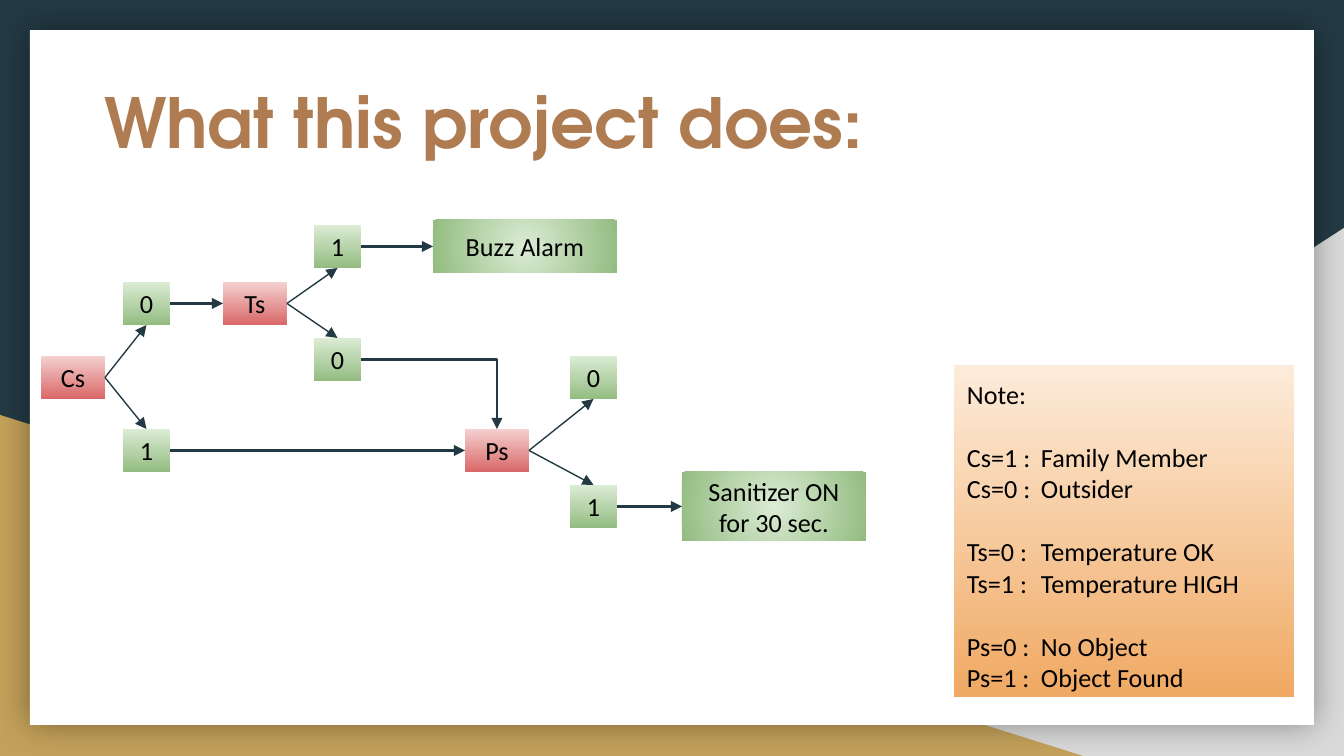
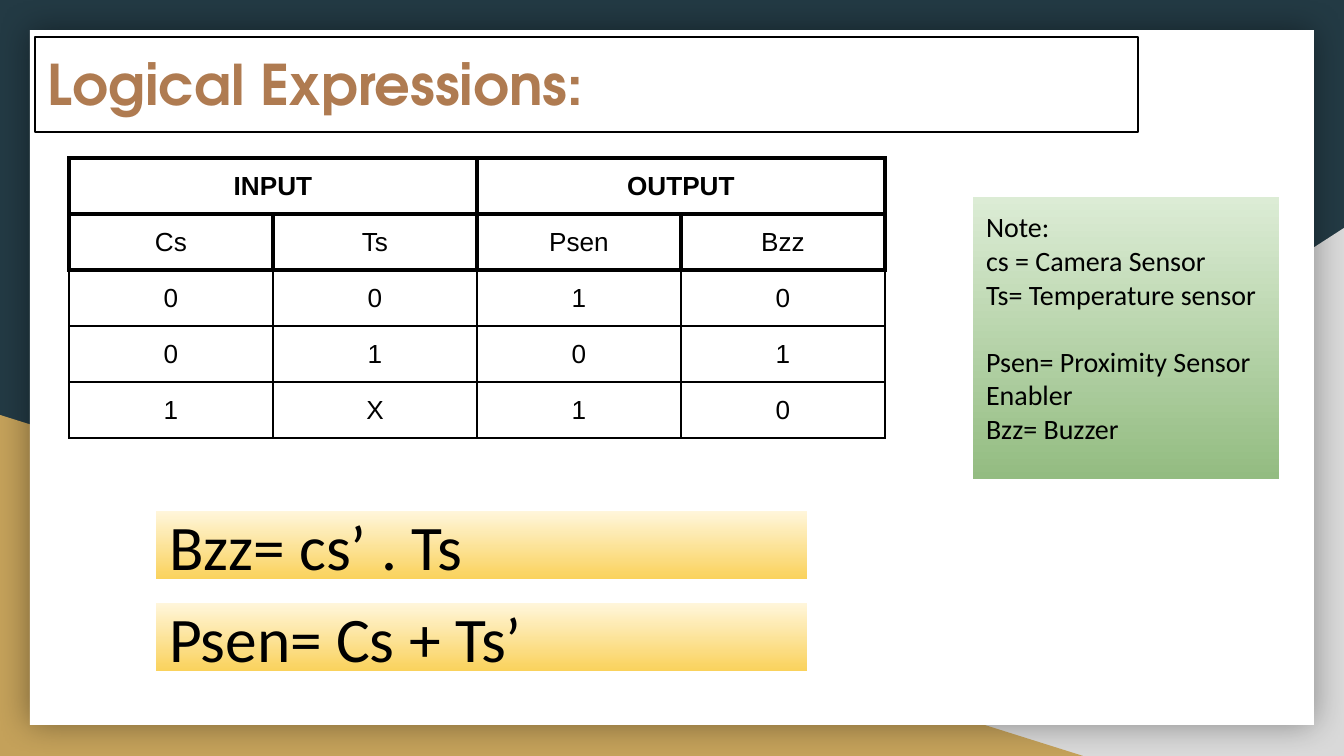
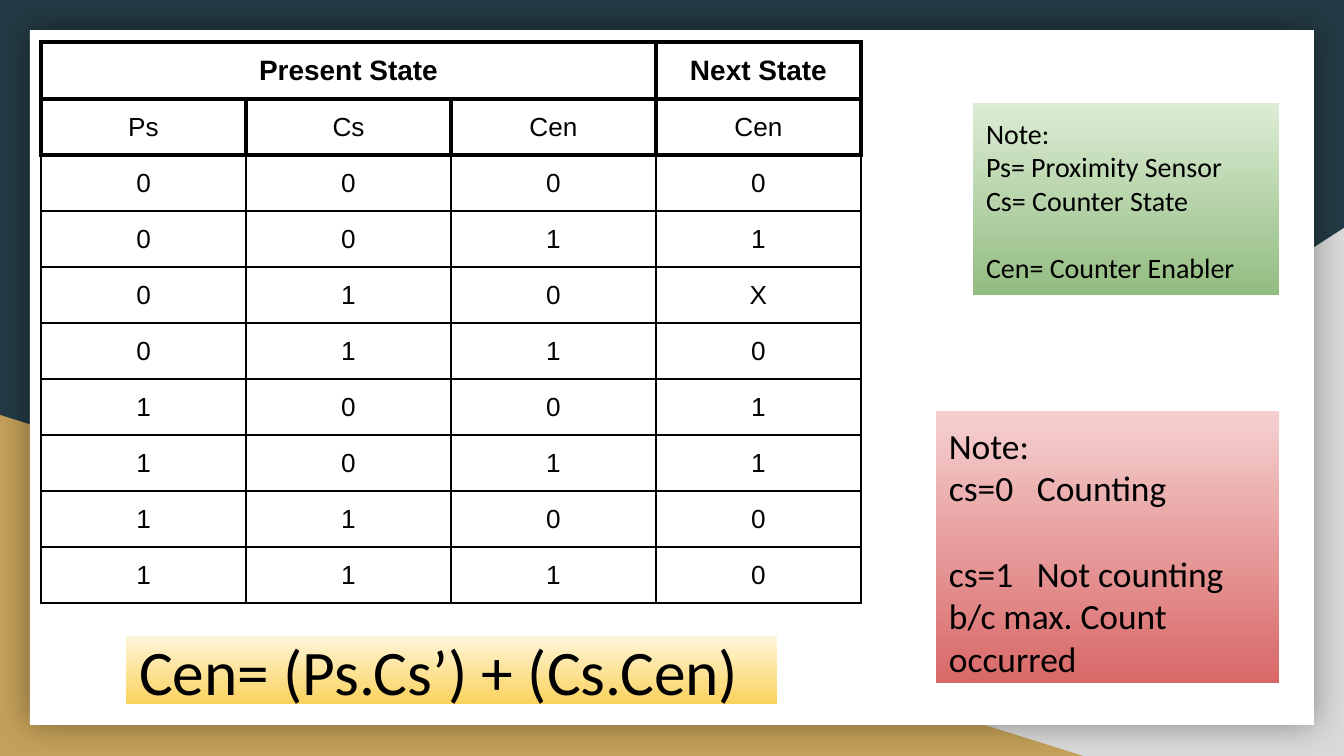
from dataclasses import dataclass

from pptx import Presentation
from pptx import oxml
from pptx import util as u
from pptx.dml.color import RGBColor
from pptx.enum import shapes, text
from pptx.oxml import ns

WIDE, HIGH = 1344, 756
PAD = 13
ROW = 56

NAVY = RGBColor(0x23, 0x3A, 0x44)
GREY = RGBColor(0xD9, 0xD9, 0xD9)
GOLD = RGBColor(0xC4, 0xA1, 0x5A)
WHITE = RGBColor(0xFF, 0xFF, 0xFF)
BLACK = RGBColor(0x00, 0x00, 0x00)
BROWN = RGBColor(0xAF, 0x7B, 0x51)

RED = (RGBColor(0xF5, 0xD0, 0xD0), RGBColor(0xD9, 0x68, 0x68))
GREEN = (RGBColor(0xDC, 0xEC, 0xD5), RGBColor(0x93, 0xBC, 0x81))
PEACH = (RGBColor(0xFD, 0xEC, 0xDB), RGBColor(0xF0, 0xA9, 0x63))
LEMON = (RGBColor(0xFF, 0xF6, 0xDB), RGBColor(0xFA, 0xD2, 0x5C))

HEAD_FONT = "TeX Gyre Adventor"
BODY_FONT = "Calibri"
GRID_FONT = "Arial"

LEFT, CENTER = text.PP_ALIGN.LEFT, text.PP_ALIGN.CENTER
TOP, MIDDLE = text.MSO_ANCHOR.TOP, text.MSO_ANCHOR.MIDDLE
RECT = shapes.MSO_SHAPE.RECTANGLE
WEDGE = shapes.MSO_SHAPE.RIGHT_TRIANGLE
N, W, S, E = range(4)

THIN, FIRM, BOLD = 0.75, 1.5, 2.25


@dataclass
class Box:
    x: int
    y: int
    w: int
    h: int


@dataclass
class Node:
    key: str
    label: str
    box: Box
    tint: tuple
    round: bool = False


@dataclass
class Link:
    start: str
    out: int
    end: str
    into: int
    width: float = FIRM
    bent: bool = False


@dataclass
class Note:
    box: Box
    tint: tuple
    size: int
    groups: tuple
    tab: int = 0


@dataclass
class Grid:
    x: int
    y: int
    col: int
    spans: tuple
    size: int
    rows: tuple


def px(n: int) -> u.Emu:
    return u.Emu(n * 9144000 // WIDE)


def place(box: Box) -> tuple:
    return px(box.x), px(box.y), px(box.w), px(box.h)


def make(tag: str):
    name, rest = tag.split(" ", 1)
    return oxml.parse_xml(f"{name} {ns.nsdecls('a')} {rest}")


def style(para, size: int, name: str, color=BLACK, bold=False, align=LEFT) -> None:
    para.alignment = align
    font = para.font
    font.name, font.size, font.bold = name, u.Pt(size), bold
    font.color.rgb = color


def pad(frame, anchor) -> None:
    frame.margin_left = frame.margin_right = px(PAD)
    frame.margin_top = frame.margin_bottom = px(PAD)
    frame.vertical_anchor = anchor
    frame.word_wrap = True


def plain(slide, kind, box: Box, color=None):
    shape = slide.shapes.add_shape(kind, *place(box))
    shape.shadow.inherit = False
    shape.line.fill.background()
    if color is not None:
        shape.fill.solid()
        shape.fill.fore_color.rgb = color
    return shape


def blend(slide, box: Box, tint: tuple, round: bool = False):
    shape = plain(slide, RECT, box)
    shape.fill.gradient()
    shape.fill.gradient_angle = 270
    for stop, color in zip(shape.fill.gradient_stops, tint):
        stop.color.rgb = color
    if round:
        grad = shape.element.spPr.find(ns.qn("a:gradFill"))
        grad.replace(grad.find(ns.qn("a:lin")), make(
            '<a:path path="circle"><a:fillToRect l="50000" t="50000" '
            'r="50000" b="50000"/></a:path>'))
    return shape


def label(slide, box: Box, tint: tuple, words: str, size: int, align, round=False):
    shape = blend(slide, box, tint, round)
    pad(shape.text_frame, MIDDLE)
    para = shape.text_frame.paragraphs[0]
    para.text = words
    style(para, size, BODY_FONT, align=align)
    return shape


def note(slide, item: Note) -> None:
    frame = blend(slide, item.box, item.tint).text_frame
    pad(frame, TOP)
    para = frame.paragraphs[0]
    for g, group in enumerate(item.groups):
        for i, line in enumerate(group):
            if g or i:
                para = frame.add_paragraph()
            para.text = line
            if "\t" in line:
                para._p.get_or_add_pPr().append(make(
                    f'<a:tabLst ><a:tab pos="{px(item.tab)}" algn="l"/></a:tabLst>'))
            style(para, item.size, BODY_FONT)
            if g and not i:
                para.space_before = u.Pt(round(item.size * 1.2))


def title(slide, words: str, box: Box, size: int):
    shape = slide.shapes.title
    shape.left, shape.top, shape.width, shape.height = place(box)
    frame = shape.text_frame
    pad(frame, TOP)
    frame.auto_size = text.MSO_AUTO_SIZE.NONE
    para = frame.paragraphs[0]
    para.text = words
    style(para, size, HEAD_FONT, BROWN, True)
    return shape


def link(slide, item: Link, nodes: dict) -> None:
    kind = shapes.MSO_CONNECTOR.ELBOW if item.bent else shapes.MSO_CONNECTOR.STRAIGHT
    line = slide.shapes.add_connector(kind, 0, 0, 0, 0)
    line.begin_connect(nodes[item.start], item.out)
    line.end_connect(nodes[item.end], item.into)
    line.line.color.rgb = NAVY
    line.line.width = u.Pt(item.width)
    props = line.element.spPr
    if item.bent:
        props.find(ns.qn("a:prstGeom")).set("prst", "bentConnector2")
    props.find(ns.qn("a:ln")).append(make('<a:tailEnd type="triangle"/>'))
    props.append(make("<a:effectLst />"))


def edges(r: int, c: int) -> dict:
    if r < 2:
        return dict.fromkeys("LRTB", BOLD)
    base = THIN if c < 2 else FIRM
    return {"L": base, "R": FIRM if c == 1 else base,
            "T": BOLD if r == 2 else base, "B": base}


def border(cell, sides: dict) -> None:
    props = cell._tc.get_or_add_tcPr()
    for i, (side, width) in enumerate(sides.items()):
        props.insert(i, make(
            f'<a:ln{side} w="{u.Pt(width)}"><a:solidFill><a:srgbClr val="{BLACK}"/>'
            f"</a:solidFill></a:ln{side}>"))


def table(slide, item: Grid) -> None:
    rows, cols = len(item.rows) + 1, len(item.rows[0])
    box = Box(item.x, item.y, item.col * cols, ROW * rows)
    grid = slide.shapes.add_table(rows, cols, *place(box)).table
    grid.first_row = grid.horz_banding = False
    head = [""] * cols
    col = 0
    for words, span in item.spans:
        head[col] = words
        if span > 1:
            grid.cell(0, col).merge(grid.cell(0, col + span - 1))
        col += span
    for r, row in enumerate((head, *item.rows)):
        for c, words in enumerate(row):
            cell = grid.cell(r, c)
            cell.fill.background()
            border(cell, edges(r, c))
            cell.margin_left = cell.margin_right = px(PAD)
            cell.margin_top = cell.margin_bottom = px(PAD)
            cell.vertical_anchor = MIDDLE
            para = cell.text_frame.paragraphs[0]
            para.text = words
            style(para, 14 if r else item.size, GRID_FONT, bold=r == 0, align=CENTER)


def formula(slide, x: int, y: int, words: str) -> None:
    label(slide, Box(x, y, 651, 68), LEMON, words, 34, LEFT)


def backdrop(deck, slide) -> None:
    master = deck.slide_master
    master.background.fill.solid()
    master.background.fill.fore_color.rgb = NAVY
    right = plain(slide, WEDGE, Box(527, 228, 817, 528), GREY)
    right.element.spPr.find(ns.qn("a:xfrm")).set("flipH", "1")
    left = plain(slide, WEDGE, Box(0, 415, 1083, 341), GOLD)
    card = plain(slide, RECT, Box(30, 30, 1284, 695), WHITE)
    glow = card.element.spPr.find(ns.qn("a:effectLst"))
    glow.append(make(
        f'<a:outerShdw blurRad="{u.Pt(18)}" dist="0" dir="0" algn="ctr" rotWithShape="0">'
        '<a:srgbClr val="000000"><a:alpha val="40000"/></a:srgbClr></a:outerShdw>'))
    for i, shape in enumerate((right, left, card)):
        shape.element.nvSpPr.cNvPr.set("id", str(100 + i))
        master.shapes.element.insert(2 + i, shape.element)


def sensor(key: str, x: int, y: int) -> Node:
    return Node(key, key, Box(x, y, 64, 43), RED)


def bit(owner: str, value: str, x: int, y: int) -> Node:
    return Node(owner + value, value, Box(x, y, 47, 43), GREEN)


def action(key: str, words: str, box: Box) -> Node:
    return Node(key, words, box, GREEN, True)


NODES = (
    sensor("Cs", 41, 356),
    bit("Cs", "0", 123, 282),
    bit("Cs", "1", 123, 429),
    sensor("Ts", 223, 282),
    bit("Ts", "0", 314, 338),
    bit("Ts", "1", 314, 225),
    sensor("Ps", 465, 429),
    bit("Ps", "0", 570, 356),
    bit("Ps", "1", 570, 485),
    action("alarm", "Buzz Alarm", Box(433, 220, 184, 53)),
    action("spray", "Sanitizer ON for 30 sec.", Box(682, 472, 184, 69)),
)

FORKS = (("Cs", "0", "1"), ("Ts", "1", "0"), ("Ps", "0", "1"))

LINKS = (
    Link("Cs0", E, "Ts", W),
    Link("Cs1", E, "Ps", W),
    Link("Ts0", E, "Ps", N, bent=True),
    Link("Ts1", E, "alarm", W),
    Link("Ps1", E, "spray", W),
)

LEGEND = Note(Box(954, 365, 340, 332), PEACH, 14, (
    ("Note:",),
    ("Cs=1 :\tFamily Member", "Cs=0 :\tOutsider"),
    ("Ts=0 :\tTemperature OK", "Ts=1 :\tTemperature HIGH"),
    ("Ps=0 :\tNo Object", "Ps=1 :\tObject Found"),
), 74)

LOGIC = Grid(69, 158, 204, (("INPUT", 2), ("OUTPUT", 2)), 14, (
    ("Cs", "Ts", "Psen", "Bzz"), *("0010", "0101", "1X10")))

LOGIC_KEY = Note(Box(973, 197, 306, 282), GREEN, 15, (
    ("Note:", "cs = Camera Sensor", "Ts= Temperature sensor"),
    ("Psen= Proximity Sensor Enabler", "Bzz= Buzzer"),
))

STATES = Grid(41, 42, 205, (("Present State", 3), ("Next State", 1)), 15, (
    ("Ps", "Cs", "Cen", "Cen"),
    *("0000", "0011", "010X", "0110", "1001", "1011", "1100", "1110")))

STATE_KEY = Note(Box(973, 103, 306, 192), GREEN, 15, (
    ("Note:", "Ps= Proximity Sensor", "Cs= Counter State"),
    ("Cen= Counter Enabler",),
))

COUNT_KEY = Note(Box(936, 411, 343, 272), RED, 19, (
    ("Note:", "cs=0\tCounting"),
    ("cs=1\tNot counting b/c max. Count occurred",),
), 88)


def flow(slide) -> None:
    title(slide, "What this project does:", Box(91, 66, 1103, 113), 37)
    nodes = {n.key: label(slide, n.box, n.tint, n.label, 14, CENTER, n.round)
             for n in NODES}
    for key, high, low in FORKS:
        link(slide, Link(key, E, key + high, S, THIN), nodes)
        link(slide, Link(key, E, key + low, N, THIN), nodes)
    for item in LINKS:
        link(slide, item, nodes)
    note(slide, LEGEND)


def logic(slide) -> None:
    head = title(slide, "Logical Expressions:", Box(35, 37, 1103, 95), 30)
    head.line.color.rgb = BLACK
    head.line.width = u.Pt(THIN)
    table(slide, LOGIC)
    note(slide, LOGIC_KEY)
    formula(slide, 156, 511, "Bzz= cs’ . Ts")
    formula(slide, 156, 603, "Psen= Cs + Ts’")


def states(slide) -> None:
    table(slide, STATES)
    note(slide, STATE_KEY)
    formula(slide, 126, 636, "Cen= (Ps.Cs’) + (Cs.Cen)")
    note(slide, COUNT_KEY)


def main() -> None:
    deck = Presentation()
    deck.slide_width, deck.slide_height = px(WIDE), px(HIGH)
    headed, blank = deck.slide_layouts[5], deck.slide_layouts[6]
    first = deck.slides.add_slide(headed)
    backdrop(deck, first)
    flow(first)
    logic(deck.slides.add_slide(headed))
    states(deck.slides.add_slide(blank))
    deck.save("out.pptx")


if __name__ == "__main__":
    main()
